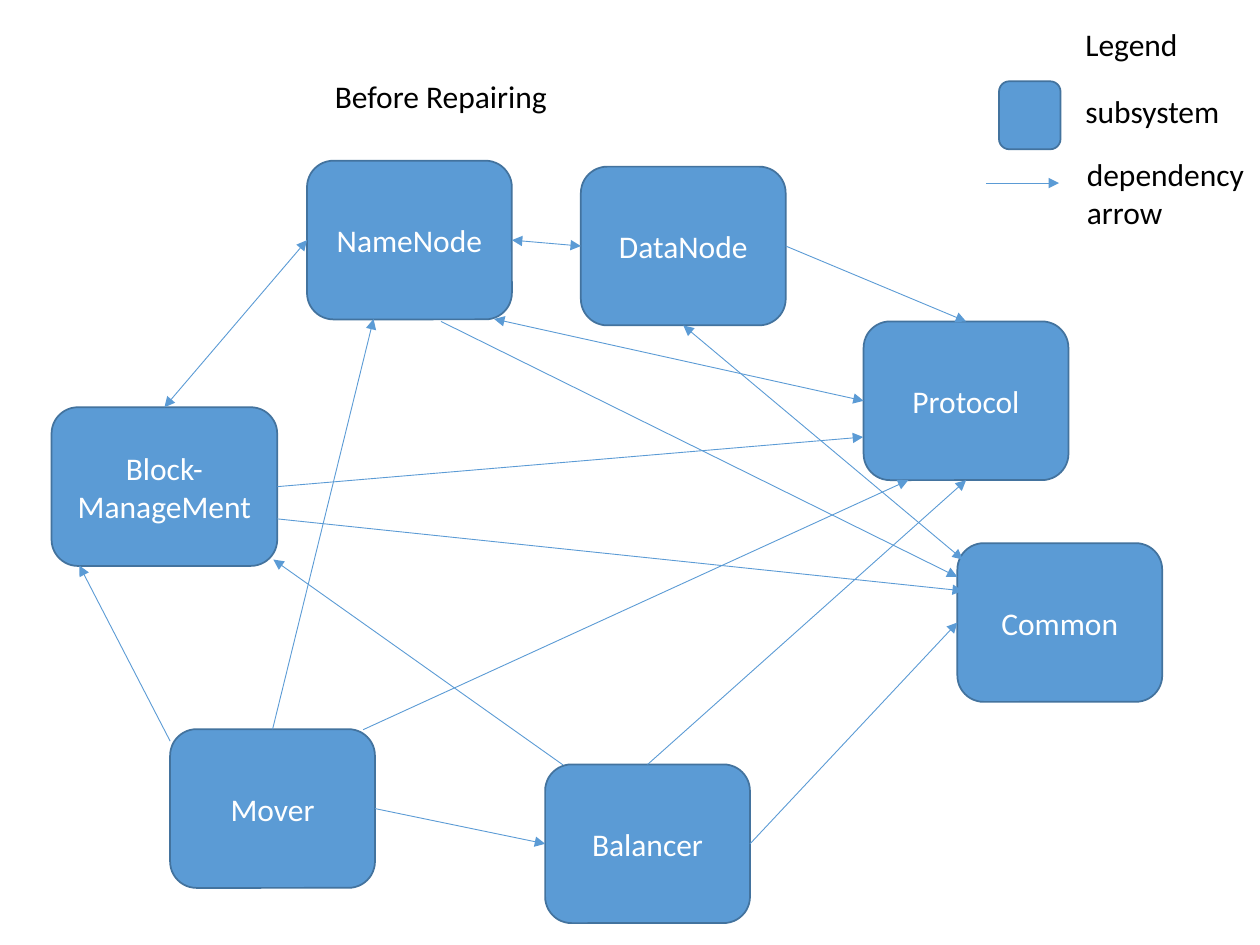
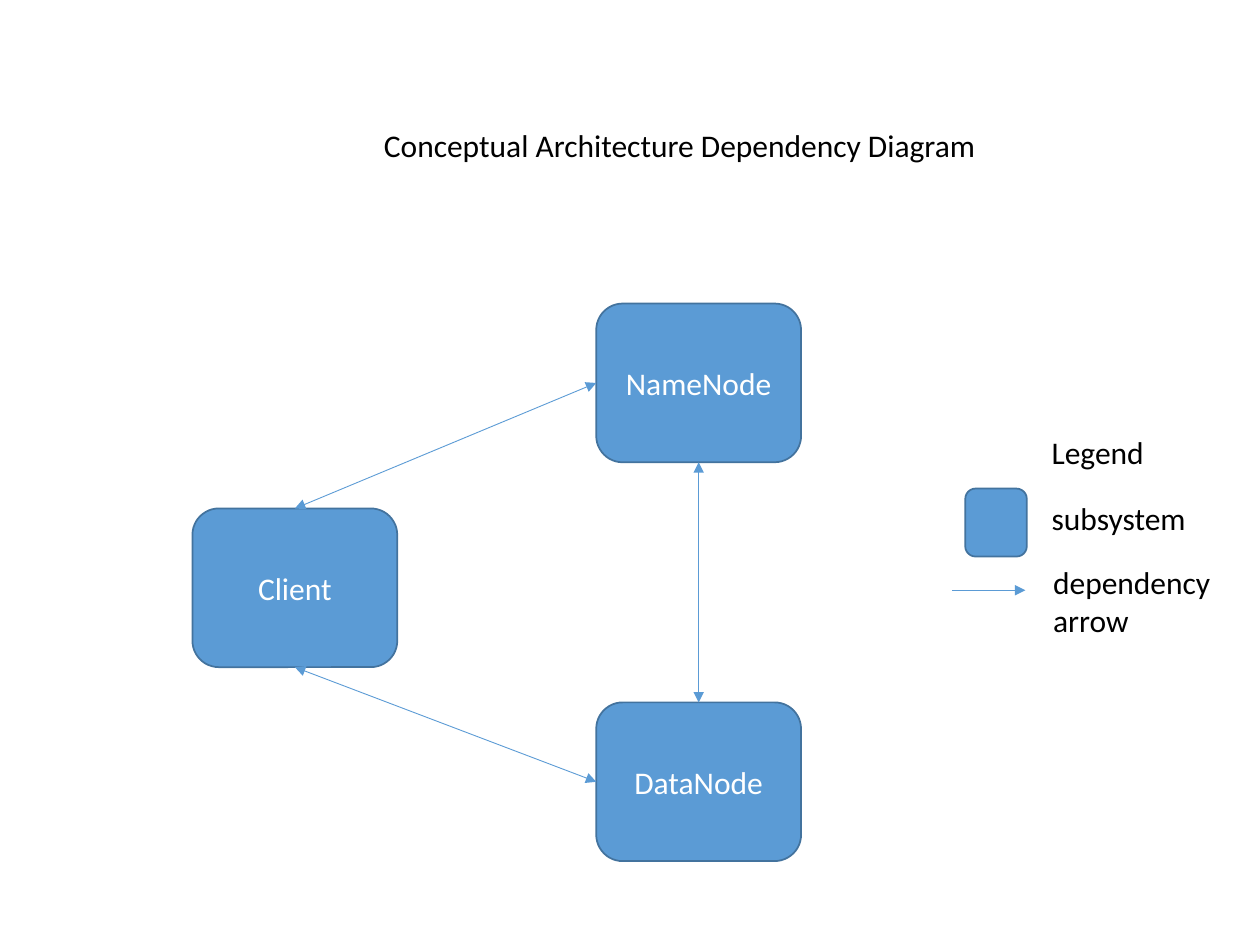
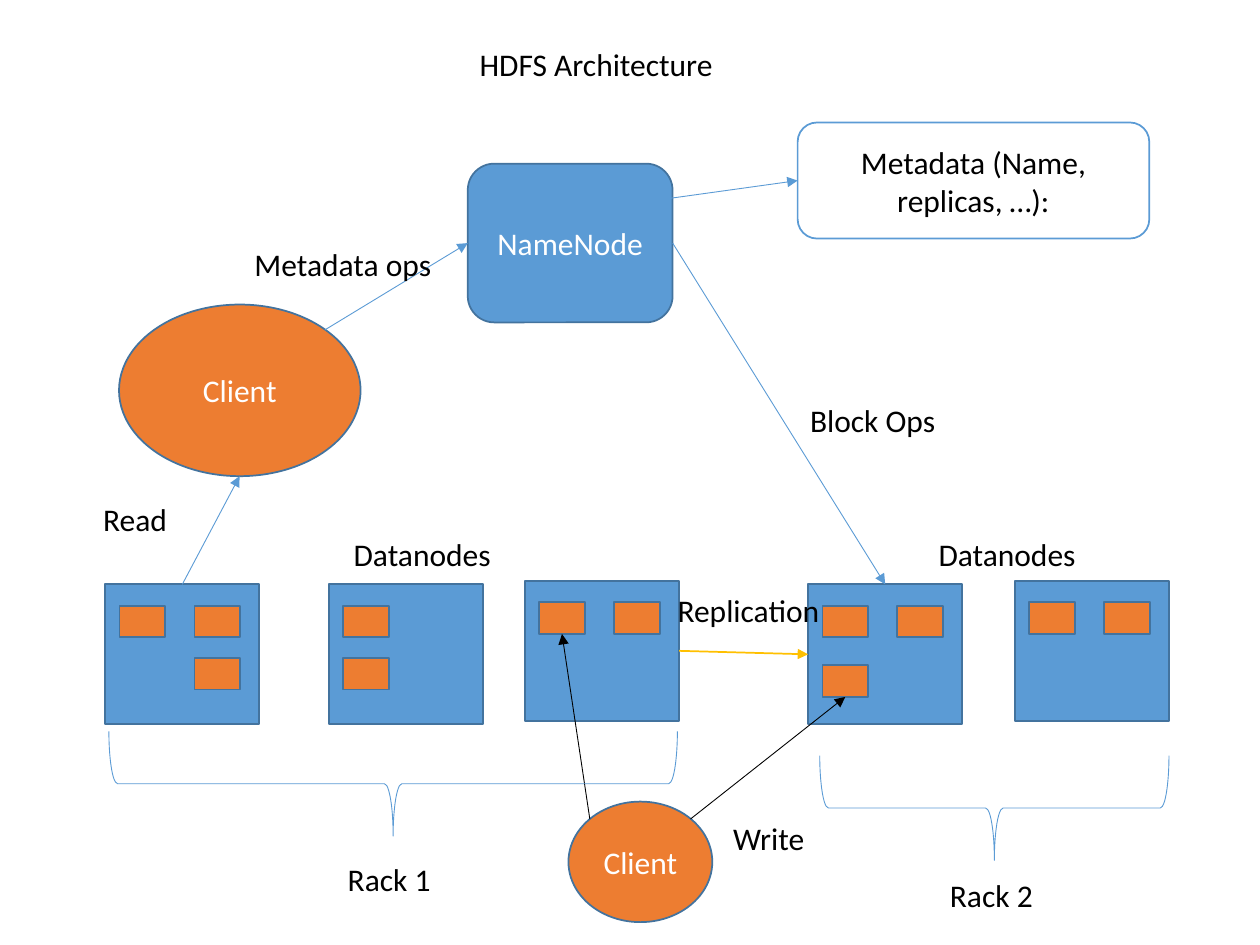
from lxml.etree import SubElement
from pptx import Presentation
from pptx.dml.color import RGBColor
from pptx.enum.shapes import MSO_CONNECTOR, MSO_SHAPE
from pptx.enum.text import MSO_ANCHOR, MSO_AUTO_SIZE, PP_ALIGN
from pptx.oxml.ns import qn
from pptx.util import Cm, Pt

COLORS = {
    "blue": "5B9BD5",
    "outline": "43739E",
    "orange": "ED7D31",
    "gold": "FFC000",
    "black": "000000",
    "white": "FFFFFF",
}
FONT_NAME = "Calibri"
FONT_SIZE = Pt(18)
NODE_SIZE = (4.13, 3.2)
DATANODE_SIZE = (3.11, 2.82)
BLOCK_SIZE = (0.92, 0.64)
LABEL_HEIGHT = 1.03

# Connection sites of rectangles
TOP, LEFT, BOTTOM, RIGHT = range(4)

# Places of the data blocks inside a datanode
UPPER_LEFT, UPPER_RIGHT = (0.29, 0.43), (1.8, 0.43)
LOWER_LEFT, LOWER_RIGHT = (0.29, 1.48), (1.8, 1.48)
BOTTOM_LEFT = (0.29, 1.63)


def rgb(color):
    return RGBColor.from_string(COLORS[color])


def format_text(text_frame, color, alignment):
    for paragraph in text_frame.paragraphs:
        paragraph.alignment = alignment
        for run in paragraph.runs:
            run.font.name = FONT_NAME
            run.font.size = FONT_SIZE
            run.font.color.rgb = rgb(color)


def add_figure(slide, kind, position, size, text="", fill="blue",
               line="outline", text_color="white"):
    """Add a filled preset shape with centred text."""
    shape = slide.shapes.add_shape(kind, *map(Cm, position + size))
    shape.shadow.inherit = False
    shape.fill.solid()
    shape.fill.fore_color.rgb = rgb(fill)
    shape.line.color.rgb = rgb(line)
    shape.line.width = Pt(1)
    if text:
        text_frame = shape.text_frame
        text_frame.text = text
        text_frame.word_wrap = True
        text_frame.vertical_anchor = MSO_ANCHOR.MIDDLE
        format_text(text_frame, text_color, PP_ALIGN.CENTER)
    return shape


def add_node(slide, text, left, top, size=NODE_SIZE):
    return add_figure(slide, MSO_SHAPE.ROUNDED_RECTANGLE, (left, top), size, text)


def add_client(slide, position, size):
    return add_figure(slide, MSO_SHAPE.OVAL, position, size, "Client", "orange")


def add_label(slide, text, left, top, width):
    lines = text.count("\n") + 1
    label = slide.shapes.add_textbox(Cm(left), Cm(top), Cm(width),
                                     Cm(LABEL_HEIGHT * lines))
    text_frame = label.text_frame
    text_frame.text = text
    text_frame.word_wrap = False
    text_frame.auto_size = MSO_AUTO_SIZE.SHAPE_TO_FIT_TEXT
    format_text(text_frame, "black", PP_ALIGN.LEFT)


def add_arrow(slide, start, end, both=False, color="blue", width=0.5):
    """Join two ends, each a (shape, site) pair or an (x, y) point."""
    connector = slide.shapes.add_connector(MSO_CONNECTOR.STRAIGHT, 0, 0, 0, 0)
    # Free points go first, so that glued ends keep their place
    if isinstance(start[0], (int, float)):
        connector.begin_x, connector.begin_y = map(Cm, start)
    else:
        connector.begin_connect(*start)
    if isinstance(end[0], (int, float)):
        connector.end_x, connector.end_y = map(Cm, end)
    else:
        connector.end_connect(*end)
    connector.line.color.rgb = rgb(color)
    connector.line.width = Pt(width)
    properties = connector._element.spPr
    line = properties.find(qn("a:ln"))
    if both:
        SubElement(line, qn("a:headEnd"), type="triangle")
    SubElement(line, qn("a:tailEnd"), type="triangle")
    SubElement(properties, qn("a:effectLst"))


def add_legend(slide, left, top):
    add_label(slide, "Legend", left, top, 2.39)
    add_figure(slide, MSO_SHAPE.ROUNDED_RECTANGLE,
               (left - 1.49, top + 1.25), (1.24, 1.37))
    add_label(slide, "subsystem", left, top + 1.34, 3.25)
    add_arrow(slide, (left - 1.75, top + 3.3), (left - 0.28, top + 3.3))
    add_label(slide, "dependency\narrow", left + 0.03, top + 2.62, 3.73)


def add_datanode(slide, left, top, places):
    """Add a datanode and return it with its data blocks."""
    datanode = add_figure(slide, MSO_SHAPE.RECTANGLE, (left, top), DATANODE_SIZE)
    blocks = [
        add_figure(slide, MSO_SHAPE.RECTANGLE, (left + x, top + y),
                   BLOCK_SIZE, fill="orange")
        for x, y in places
    ]
    return datanode, blocks


def add_rack_brace(slide, left, top, width, height):
    brace = add_figure(slide, MSO_SHAPE.RIGHT_BRACE, (left, top),
                       (width, height), line="blue")
    brace.fill.background()
    brace.line.width = Pt(0.5)
    brace.rotation = 90


def build_before_repairing(slide):
    # Subsystems
    name_node = add_node(slide, "NameNode", 6.19, 3.24)
    data_node = add_node(slide, "DataNode", 11.71, 3.36)
    protocol = add_node(slide, "Protocol", 17.41, 6.48)
    common = add_node(slide, "Common", 19.3, 10.95)
    management = add_node(slide, "Block-ManageMent", 1.04, 8.21, (4.55, 3.2))
    mover = add_node(slide, "Mover", 3.43, 14.7)
    balancer = add_node(slide, "Balancer", 10.99, 15.41)

    # Dependencies
    two_way = [
        ((management, TOP), (name_node, LEFT)),
        ((19.41, 11.28), (data_node, BOTTOM)),
        ((name_node, RIGHT), (data_node, LEFT)),
        ((protocol, LEFT), (9.96, 6.43)),
    ]
    one_way = [
        ((data_node, RIGHT), (protocol, TOP)),
        ((mover, TOP), (7.53, 6.43)),
        ((3.43, 14.94), (1.6, 11.4)),
        ((balancer, RIGHT), (common, LEFT)),
        ((mover, RIGHT), (balancer, LEFT)),
        ((11.35, 15.42), (5.51, 11.28)),
        ((management, RIGHT), (17.4, 8.81)),
        ((5.59, 10.46), (19.41, 11.91)),
        ((8.89, 6.48), (19.3, 11.63)),
        ((balancer, TOP), (protocol, BOTTOM)),
        ((7.32, 14.71), (18.31, 9.68)),
    ]
    for start, end in two_way:
        add_arrow(slide, start, end, both=True)
    for start, end in one_way:
        add_arrow(slide, start, end)

    add_label(slide, "Before Repairing", 6.5, 1.43, 4.83)
    add_legend(slide, 21.63, 0.39)


def build_conceptual_architecture(slide):
    name_node = add_node(slide, "NameNode", 12.02, 6.12)
    data_node = add_node(slide, "DataNode", 12.02, 14.16)
    client = add_node(slide, "Client", 3.88, 10.25)
    for start, end in [
        ((name_node, LEFT), (client, TOP)),
        ((name_node, BOTTOM), (data_node, TOP)),
        ((data_node, LEFT), (client, BOTTOM)),
    ]:
        add_arrow(slide, start, end, both=True)

    add_label(slide, "Conceptual Architecture Dependency Diagram", 7.49, 2.42, 12.6)
    add_legend(slide, 20.95, 8.6)


def build_hdfs_architecture(slide):
    # Name node, its metadata and the clients
    name_node = add_node(slide, "NameNode", 9.43, 3.3)
    metadata = add_figure(slide, MSO_SHAPE.ROUNDED_RECTANGLE, (16.08, 2.47),
                          (7.09, 2.34), "Metadata (Name, replicas, …):",
                          "white", "blue", "black")
    add_client(slide, (2.4, 6.14), (4.87, 3.46))
    add_client(slide, (11.46, 16.16), (2.9, 2.43))

    # Datanodes of both racks
    upper = [UPPER_LEFT, UPPER_RIGHT]
    reader, _ = add_datanode(slide, 2.12, 11.78, upper + [LOWER_RIGHT])
    add_datanode(slide, 6.63, 11.78, [UPPER_LEFT, LOWER_LEFT])
    source, source_blocks = add_datanode(slide, 10.58, 11.71, upper)
    replica, replica_blocks = add_datanode(slide, 16.29, 11.78, upper + [BOTTOM_LEFT])
    add_datanode(slide, 20.46, 11.71, upper)

    # Operations
    add_arrow(slide, (6.55, 6.65), (name_node, LEFT))
    add_arrow(slide, (reader, TOP), (4.83, 9.6))
    add_arrow(slide, (name_node, RIGHT), (replica, TOP))
    add_arrow(slide, (13.42, 4.01), (metadata, LEFT))
    add_arrow(slide, (11.89, 16.51), (source_blocks[0], BOTTOM), color="black")
    add_arrow(slide, (13.92, 16.51), (replica_blocks[-1], BOTTOM), color="black")
    add_arrow(slide, (source, RIGHT), (replica, LEFT), color="gold", width=1)

    # Racks
    add_rack_brace(slide, 6.87, 10.07, 2.11, 11.46)
    add_rack_brace(slide, 18.99, 12.77, 2.11, 7.04)

    for text, left, top, width in [
        ("HDFS Architecture", 9.42, 0.79, 5.26),
        ("Metadata ops", 4.88, 4.82, 4.11),
        ("Block Ops", 16.08, 7.96, 3.07),
        ("Read", 1.83, 9.96, 1.8),
        ("Datanodes", 6.88, 10.67, 3.3),
        ("Datanodes", 18.67, 10.67, 3.3),
        ("Replication", 13.41, 11.79, 3.4),
        ("Write", 14.53, 16.39, 1.96),
        ("Rack 1", 6.76, 17.22, 2.21),
        ("Rack 2", 18.9, 17.54, 2.21),
    ]:
        add_label(slide, text, left, top, width)


def main():
    presentation = Presentation()
    presentation.slide_width = Cm(25.4)
    presentation.slide_height = Cm(19.05)
    blank_layout = presentation.slide_layouts[6]
    for build in (build_before_repairing, build_conceptual_architecture,
                  build_hdfs_architecture):
        build(presentation.slides.add_slide(blank_layout))
    presentation.save("out.pptx")


if __name__ == "__main__":
    main()
